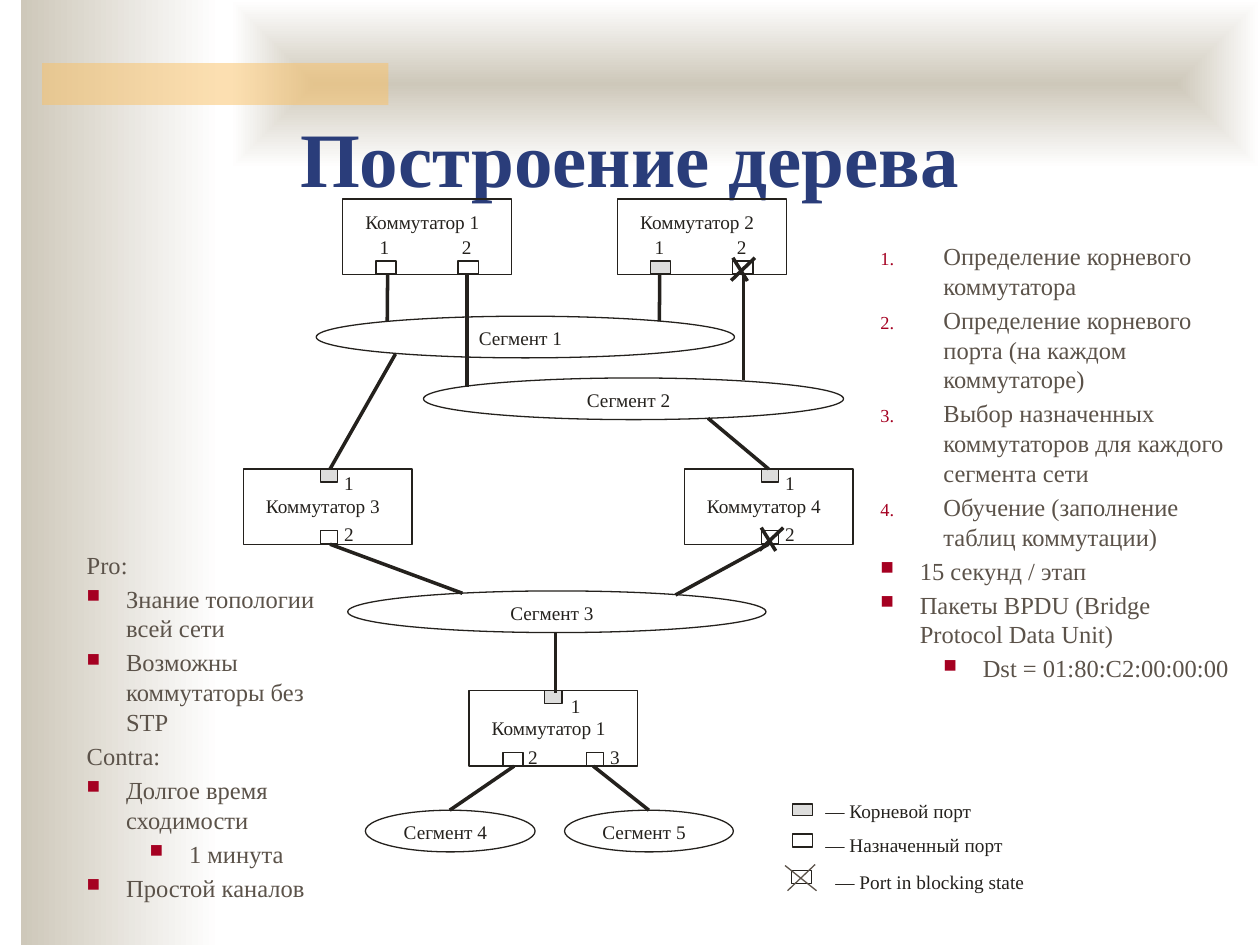
from dataclasses import dataclass

from lxml.etree import SubElement
from pptx import Presentation
from pptx.dml.color import RGBColor
from pptx.enum.shapes import MSO_CONNECTOR, MSO_SHAPE
from pptx.enum.text import MSO_ANCHOR, PP_ALIGN
from pptx.oxml.ns import qn
from pptx.util import Pt


@dataclass(frozen=True)
class Theme:
    """Colours, font and type sizes of the slide."""
    ink: str = "24211D"
    muted: str = "5B5249"
    heading: str = "2A3D7A"
    bullet: str = "A50021"
    sand: str = "CEC8BA"
    amber: str = "FAC164"
    white: str = "FFFFFF"
    root: str = "DDDDDC"
    font: str = "Times New Roman"
    title_size: int = 44
    body_size: int = 14
    label_size: int = 11


class Slide:
    """Draws styled elements on one page."""

    def __init__(self, page, theme):
        self.page, self.theme = page, theme

    def style(self, para, size, color, bold=False):
        """Format every run of a paragraph."""
        for span in para.runs:
            span.font.size, span.font.bold, span.font.name = Pt(size), bold, self.theme.font
            span.font.color.rgb = RGBColor.from_string(color)

    def box(self, x, y, width, height, fill=None, line=None, kind=MSO_SHAPE.RECTANGLE):
        """Draw a preset shape, unfilled and without outline by default."""
        box = self.page.shapes.add_shape(kind, Pt(x), Pt(y), Pt(width), Pt(height))
        box.shadow.inherit = False
        if fill:
            box.fill.solid()
            box.fill.fore_color.rgb = RGBColor.from_string(fill)
        else:
            box.fill.background()
        if line:
            box.line.color.rgb = RGBColor.from_string(line)
            box.line.width = Pt(0)
        else:
            box.line.fill.background()
        return box

    def gradient(self, x, y, width, height, centred=False):
        """Draw a panel fading from sand to white."""
        box = self.box(x, y, width, height)
        box.fill.gradient()
        for stop, color in zip(box.fill.gradient_stops, (self.theme.sand, self.theme.white)):
            stop.color.rgb = RGBColor.from_string(color)
        box.fill.gradient_stops[0].position = 0
        box.fill.gradient_stops[1].position = 1
        box.fill.gradient_angle = 0
        if centred:
            grad = box.element.spPr.find(qn("a:gradFill"))
            grad.remove(grad.find(qn("a:lin")))
            shade = SubElement(grad, qn("a:path"), path="shape")
            SubElement(shade, qn("a:fillToRect"), l="50000", t="50000", r="50000", b="50000")

    def band(self, x, y, width, height):
        """Draw the half-transparent accent band."""
        box = self.box(x, y, width, height, self.theme.amber)
        color = box.element.spPr.find(qn("a:solidFill")).find(qn("a:srgbClr"))
        SubElement(color, qn("a:alpha"), val="50000")

    def title(self, text, x, y, width, height):
        """Place the title above the background panels."""
        title = self.page.shapes.title
        title.element.getparent().append(title.element)
        title.left, title.top, title.width, title.height = Pt(x), Pt(y), Pt(width), Pt(height)
        frame = title.text_frame
        frame.text = text
        frame.vertical_anchor = MSO_ANCHOR.MIDDLE
        frame.margin_bottom = Pt(15)
        frame.paragraphs[0].alignment = PP_ALIGN.CENTER
        self.style(frame.paragraphs[0], self.theme.title_size, self.theme.heading, True)

    def label(self, text, x, y, width):
        """Write one line of diagram text."""
        frame = self.page.shapes.add_textbox(Pt(x), Pt(y), Pt(width), Pt(13.7)).text_frame
        frame.margin_left = frame.margin_top = frame.margin_right = frame.margin_bottom = 0
        frame.word_wrap = False
        frame.text = text
        self.style(frame.paragraphs[0], self.theme.label_size, self.theme.ink)

    def line(self, x1, y1, x2, y2, color=None, width=0):
        """Draw a straight line."""
        line = self.page.shapes.add_connector(MSO_CONNECTOR.STRAIGHT, Pt(x1), Pt(y1), Pt(x2), Pt(y2))
        line.line.color.rgb = RGBColor.from_string(color or self.theme.ink)
        line.line.width = Pt(width)
        SubElement(line.element.spPr, qn("a:effectLst"))

    def port(self, x, y, width, height=7.5, root=False, fill=None):
        """Draw a switch port."""
        self.box(x, y, width, height, self.theme.root if root else fill, self.theme.ink)

    def switch(self, name, x, y, name_dy, ports):
        """Draw a switch with its name and its numbered ports."""
        self.box(x, y, 96.5, 43.2, line=self.theme.ink)
        self.label(name, x + 13, y + name_dy, 67)
        for number, (dx, dy, width, label_dx, label_dy, state) in enumerate(ports, 1):
            left, top = x + dx, y + dy
            self.port(left, top, width, root=state == "root")
            self.label(str(number), left + label_dx, top + label_dy, 5.8)
            if state == "blocked":
                self.line(left, top - 1.8, left + 8.3, top + 11.5)
                self.line(left - 1, top + 11.2, left + 12.6, top - 1.8)

    def segment(self, name, x, y, width):
        """Draw a network segment."""
        self.box(x, y, width, 23.8, line=self.theme.ink, kind=MSO_SHAPE.OVAL)
        self.label(name, x + (width - 48.2) / 2 - 2.5, y + 6, 48.2)

    def notes(self, x, y, width, height, items):
        """Write a list of paragraphs with their kinds of bullet."""
        frame = self.page.shapes.add_textbox(Pt(x), Pt(y), Pt(width), Pt(height)).text_frame
        frame.word_wrap = True
        indents = {"number": (36, 36), "bullet": (22.5, 22.5), "sub": (58.5, 22.5)}
        for index, (kind, text) in enumerate(items):
            para = frame.add_paragraph() if index else frame.paragraphs[0]
            para.text = text
            para.line_spacing, para.space_before = Pt(17), Pt(2.4)
            self.style(para, self.theme.body_size, self.theme.muted)
            if kind == "plain":
                continue
            para.level = 1 if kind == "sub" else 0
            margin, hanging = indents[kind]
            props = para._p.get_or_add_pPr()
            props.set("marL", str(Pt(margin)))
            props.set("indent", str(-Pt(hanging)))
            SubElement(SubElement(props, qn("a:buClr")), qn("a:srgbClr"), val=self.theme.bullet)
            SubElement(props, qn("a:buSzPct"), val="75000")
            if kind == "number":
                SubElement(props, qn("a:buAutoNum"), type="arabicPeriod")
            else:
                SubElement(props, qn("a:buChar"), char="■")


deck = Presentation()
deck.slide_width, deck.slide_height = Pt(720), Pt(540)
theme = Theme()
slide = Slide(deck.slides.add_slide(deck.slide_layouts[5]), theme)

slide.gradient(12, 0, 114, 540)
slide.gradient(132, 0, 588, 96, centred=True)
slide.band(24, 36, 198, 24)
slide.title("Построение дерева", 54, 55.5, 612, 79)


def upper_ports(first, second):
    """Ports on the lower edge with numbers above them."""
    return [(19, 35.3, 11.5, 2.2, -14.4, first), (66, 35.3, 11.5, 2.2, -14.4, second)]


def middle_ports(second):
    """A root port above and a second port below."""
    return [(44, 0, 10, 13.7, 1.4, "root"), (44, 35.3, 10, 13.7, -5, second)]


lower_ports = [(43.2, 0, 10, 15, 2, "root"), (19.4, 35.3, 11.5, 14.4, -4.3, ""),
               (67, 35.3, 10, 13.7, -4.3, "")]
for switch in [("Коммутатор 1", 195.8, 113.8, 6.5, upper_ports("", "")),
               ("Коммутатор 2", 352.8, 113.8, 6.5, upper_ports("root", "blocked")),
               ("Коммутатор 3", 139, 268, 14.4, middle_ports("")),
               ("Коммутатор 4", 391, 268, 14.4, middle_ports("blocked")),
               ("Коммутатор 1", 268, 394.6, 14.4, lower_ports)]:
    slide.switch(*switch)

segments = [(180.7, 180.7, 239), (242, 216, 240), (198.7, 337.7, 239), (208.8, 463, 97), (322.6, 463, 96.5)]
for number, place in enumerate(segments, 1):
    slide.segment(f"Сегмент {number}", *place)

for link in [(221.3, 183.6, 221.5, 157), (267, 221, 267, 157), (424.8, 217.4, 424.8, 157),
             (376.8, 183.6, 377, 157), (188.6, 268, 226, 202.3), (439.2, 268, 404.6, 239),
             (188.6, 311, 264.2, 339), (386, 340, 439.2, 311), (317.5, 396, 317.5, 361.4),
             (257, 463, 293.8, 437.8), (339, 437.8, 370.8, 463)]:
    slide.line(*link)

slide.port(452.9, 459.4, 11.5, 6.5, root=True)
slide.port(452.9, 476.6, 11.5, fill=theme.white)
slide.port(452.2, 497.5, 11.5, fill=theme.white)
slide.line(448.6, 494.6, 466.6, 509, theme.muted, 0.75)
slide.line(450, 509, 465.8, 494, theme.muted, 0.75)
slide.label("— Корневой порт", 471.6, 456.5, 85)
slide.label("— Назначенный порт", 471.6, 476, 102)
slide.label("— Port in blocking state", 477.4, 497.5, 108)

slide.notes(496, 134, 215.3, 265, [
    ("number", "Определение корневого коммутатора"),
    ("number", "Определение корневого порта (на каждом коммутаторе)"),
    ("number", "Выбор назначенных коммутаторов для каждого сегмента сети"),
    ("number", "Обучение (заполнение таблиц коммутации)"),
    ("bullet", "15 секунд / этап"),
    ("bullet", "Пакеты BPDU (Bridge Protocol Data Unit)"),
    ("sub", "Dst = 01:80:C2:00:00:00")])
slide.notes(42.5, 310.3, 156.2, 214.6, [
    ("plain", "Pro:"),
    ("bullet", "Знание топологии всей сети"),
    ("bullet", "Возможны коммутаторы без STP"),
    ("plain", "Contra:"),
    ("bullet", "Долгое время сходимости"),
    ("sub", "1 минута"),
    ("bullet", "Простой каналов")])

deck.save("out.pptx")
